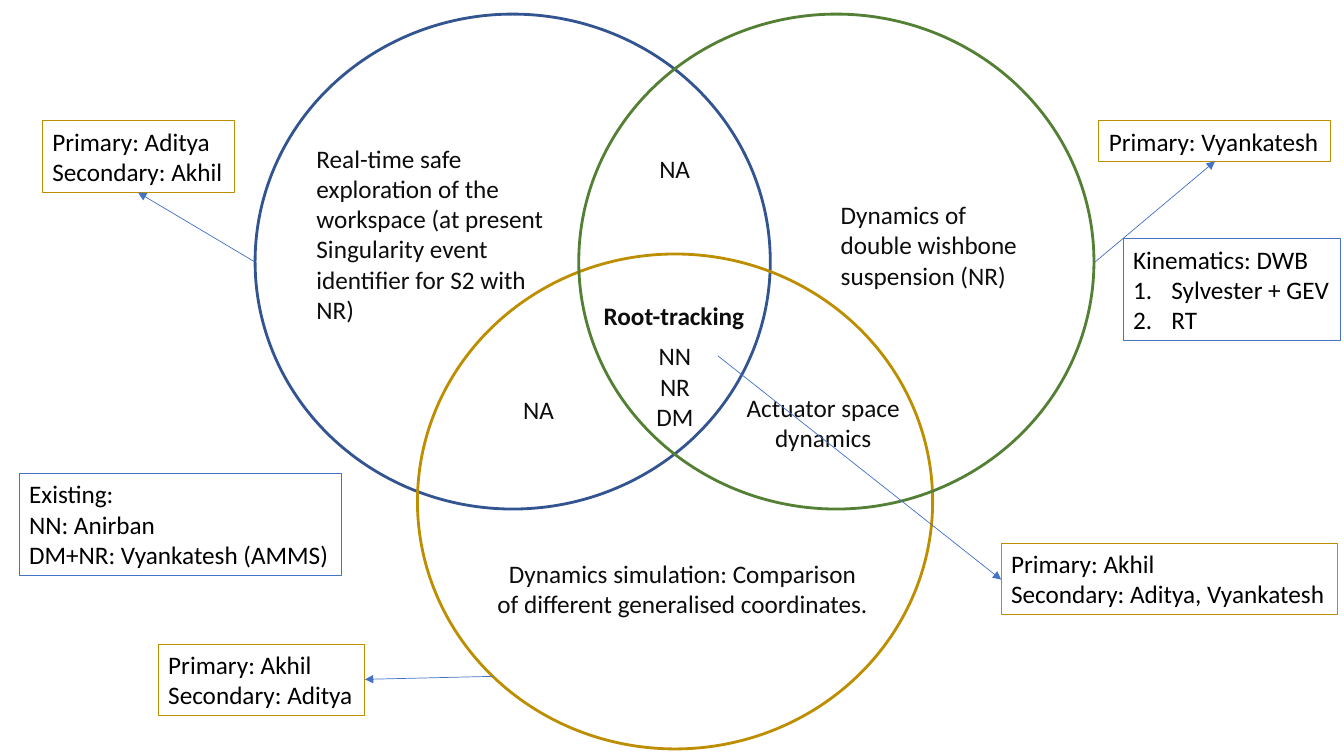
import pptx
import pptx.util
import pptx.dml.color
import pptx.enum.shapes
import pptx.enum.text
import pptx.oxml.ns
import lxml.etree

Inches = pptx.util.Inches
Pt = pptx.util.Pt
COLORS = {"blue": "325491", "gold": "BD8E00", "green": "538035",
          "accent": "4472C4", "dark": "0D0D0D", "black": "000000"}
RGB = {name: pptx.dml.color.RGBColor.from_string(value) for name, value in COLORS.items()}
ALIGN = pptx.enum.text.PP_ALIGN
SHAPES = pptx.enum.shapes.MSO_SHAPE

deck = pptx.Presentation()
deck.slide_width, deck.slide_height = Inches(13.33), Inches(7.5)
page = deck.slides.add_slide(deck.slide_layouts[6])


def add_outline(kind, place, color, width):
    """Add an unfilled shape with a coloured outline."""
    shape = page.shapes.add_shape(kind, *map(Inches, place))
    shape.shadow.inherit = False
    shape.fill.background()
    shape.line.color.rgb = RGB[color]
    shape.line.width = Pt(width)
    return shape


def write_text(box, lines, color, align=ALIGN.LEFT, wrap=True, bold=False):
    """Write one paragraph per line into a box that fits its text."""
    frame = box.text_frame
    frame_format = {"word_wrap": wrap, "vertical_anchor": pptx.enum.text.MSO_ANCHOR.TOP,
                    "auto_size": pptx.enum.text.MSO_AUTO_SIZE.SHAPE_TO_FIT_TEXT}
    for name, value in frame_format.items():
        setattr(frame, name, value)
    for index, line in enumerate(lines):
        para = frame.paragraphs[0] if index == 0 else frame.add_paragraph()
        para.alignment = align
        span = para.add_run()
        span.text = line
        for name, value in {"size": Pt(18), "name": "Calibri", "bold": bold}.items():
            setattr(span.font, name, value)
        span.font.color.rgb = RGB[color]


# Three overlapping circles
for left, top, color in [(2.53, 0.14, "blue"), (4.14, 2.52, "gold"), (5.74, 0.14, "green")]:
    add_outline(SHAPES.OVAL, (left, top, 5.11, 4.91), color, 2)

# Topics inside the circles: place, text, alignment, wrap, bold
topics = [
    ((5.88, 2.93, 1.61, 0.4), "Root-tracking", ALIGN.CENTER, False, True),
    ((4.82, 5.49, 3.9, 0.71),
     "Dynamics simulation: Comparison of different generalised coordinates.",
     ALIGN.CENTER, True, False),
    ((3.04, 1.37, 2.55, 1.92),
     "Real-time safe exploration of the workspace (at present Singularity event "
     "identifier for S2 with NR)", ALIGN.LEFT, True, False),
    ((6.44, 1.47, 0.51, 0.4), "NA", ALIGN.LEFT, False, False),
    ((5.09, 3.86, 0.51, 0.4), "NA", ALIGN.LEFT, False, False),
    ((8.24, 1.93, 2.19, 1.01), "Dynamics of double wishbone suspension (NR)",
     ALIGN.LEFT, True, False),
    ((6.26, 3.33, 0.87, 1.01), "NN NR DM", ALIGN.CENTER, True, False),
    ((7.3, 3.84, 1.73, 0.71), "Actuator space dynamics", ALIGN.CENTER, True, False),
]
for place, text, align, wrap, bold in topics:
    box = page.shapes.add_textbox(*map(Inches, place))
    write_text(box, [text], "dark", align, wrap, bold)

# Framed notes with the people and methods
notes = [
    ((0.42, 1.2, 1.91, 0.71), "gold", ["Primary: Aditya", "Secondary: Akhil"]),
    ((1.57, 6.39, 2.05, 0.71), "gold", ["Primary: Akhil", "Secondary: Aditya"]),
    ((10.9, 1.2, 2.3, 0.4), "gold", ["Primary: Vyankatesh"]),
    ((9.93, 5.39, 3.34, 0.71), "gold", ["Primary: Akhil", "Secondary: Aditya, Vyankatesh"]),
    ((0.19, 4.7, 3.2, 1.01), "accent",
     ["Existing:", "NN: Anirban", "DM+NR: Vyankatesh (AMMS)"]),
    ((11.14, 2.37, 2.16, 1.01), "accent", ["Kinematics: DWB", "Sylvester + GEV", "RT"]),
]
for place, color, lines in notes:
    note = add_outline(SHAPES.RECTANGLE, place, color, 0.75)
    write_text(note, lines, "black", wrap=False)

# The last note numbers its methods
for para in note.text_frame.paragraphs[1:]:
    properties = para._p.get_or_add_pPr()
    properties.set("marL", str(Inches(0.38)))
    properties.set("indent", str(-Inches(0.38)))
    font = lxml.etree.SubElement(properties, pptx.oxml.ns.qn("a:buFont"))
    font.set("typeface", "+mj-lt")
    number = lxml.etree.SubElement(properties, pptx.oxml.ns.qn("a:buAutoNum"))
    number.set("type", "arabicPeriod")

# Arrows from the circles to the notes
arrows = [(10.86, 2.6, 12.05, 1.6), (7.12, 3.53, 9.93, 5.75),
          (2.53, 2.6, 1.37, 1.91), (4.89, 6.71, 3.62, 6.74)]
for ends in arrows:
    arrow = page.shapes.add_connector(pptx.enum.shapes.MSO_CONNECTOR.STRAIGHT,
                                      *map(Inches, ends))
    arrow.line.color.rgb = RGB["accent"]
    arrow.line.width = Pt(0.5)
    head = lxml.etree.SubElement(arrow.line._get_or_add_ln(), pptx.oxml.ns.qn("a:tailEnd"))
    head.set("type", "triangle")
    lxml.etree.SubElement(arrow._element.spPr, pptx.oxml.ns.qn("a:effectLst"))

deck.save("out.pptx")
